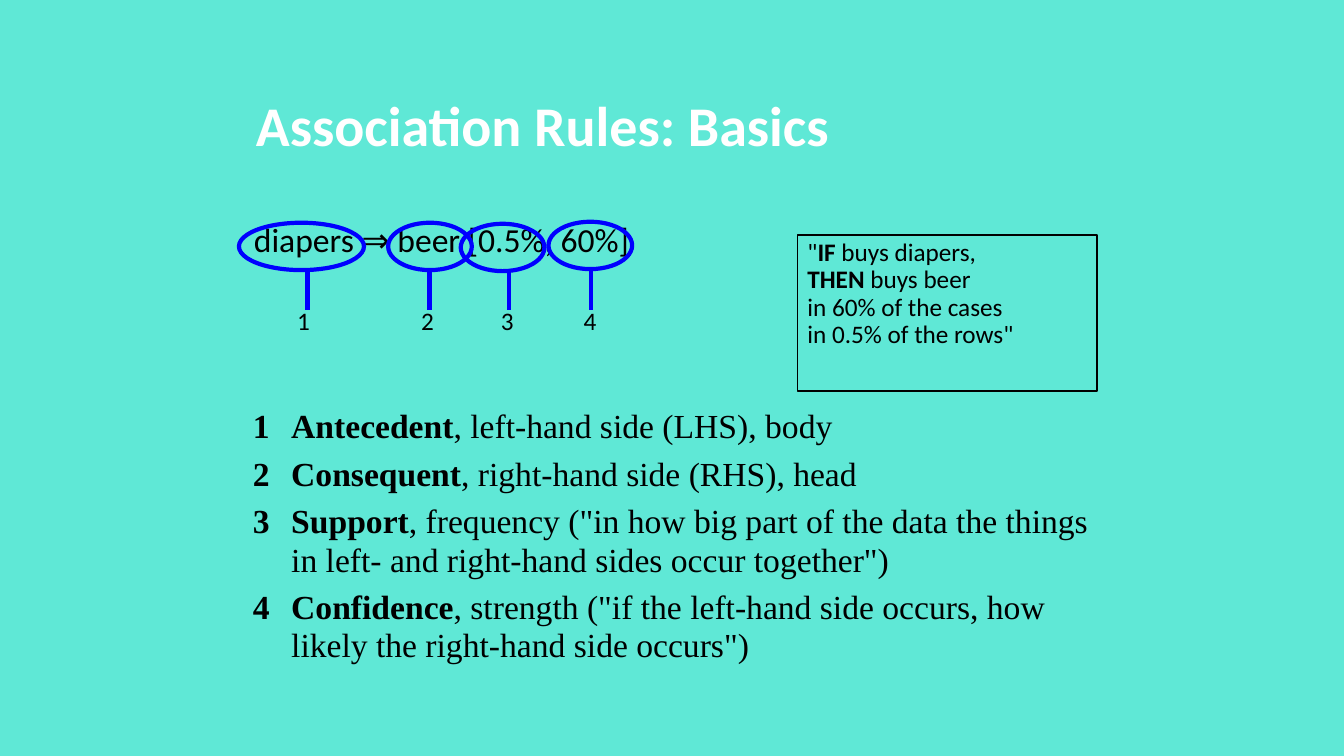
from lxml.etree import SubElement
from pptx import Presentation
from pptx.dml.color import RGBColor
from pptx.enum.shapes import MSO_CONNECTOR, MSO_SHAPE
from pptx.enum.text import MSO_ANCHOR, PP_ALIGN
from pptx.oxml.ns import qn
from pptx.util import Inches, Pt

HUES = {"back": "5FE8D6", "title": "FFFFFF", "text": "000000", "mark": "0000FF"}
HEAD = {"name": "Calibri", "size": Pt(40), "bold": True}
RULE = {"name": "Calibri", "size": Pt(24)}
NOTE = {"name": "Calibri", "size": Pt(18)}
TERM = {"name": "Times New Roman", "size": Pt(24)}

LINES = [
    [('"', False), ("IF", True), (" buys diapers,", False)],
    [("THEN", True), (" buys beer", False)],
    [("in 60% of the cases", False)],
    [('in 0.5% of the rows"', False)],
]
TERMS = [
    ("Antecedent", ", left-hand side (LHS), body"),
    ("Consequent", ", right-hand side (RHS), head"),
    ("Support", ', frequency ("in how big part of the data the things '
                'in left- and right-hand sides occur together")'),
    ("Confidence", ', strength ("if the left-hand side occurs, how '
                   'likely the right-hand side occurs")'),
]
MARKS = [
    ((2.37, 2.21, 1.24, 0.47), 3.05, 2.85),
    ((3.85, 2.21, 0.83, 0.47), 4.26, 4.08),
    ((4.57, 2.22, 0.83, 0.47), 5.05, 4.87),
    ((5.44, 2.2, 0.83, 0.47), 5.86, 5.69),
]


def tint(name):
    """Return the named colour."""
    return RGBColor.from_string(HUES[name])


def style(item, form):
    """Set each attribute of item from the format values."""
    for key, value in form.items():
        setattr(item, key, value)


def write(frame, rows, form, hue="text", space=0.9):
    """Fill a text frame with rows of (text, bold) runs."""
    frame.word_wrap = True
    for i, row in enumerate(rows):
        para = frame.paragraphs[0] if i == 0 else frame.add_paragraph()
        style(para, {"alignment": PP_ALIGN.LEFT, "line_spacing": space})
        for text, bold in row:
            run = para.add_run()
            run.text = text
            style(run.font, {"bold": bold, **form})
            run.font.color.rgb = tint(hue)


def label(shapes, box, rows, form, hue="text", space=0.9):
    """Add a text box and return its frame."""
    frame = shapes.add_textbox(*map(Inches, box)).text_frame
    write(frame, rows, form, hue, space)
    return frame


def title(shapes, box):
    """Add the slide title, centred in the height of its box."""
    frame = label(shapes, box, [[("Association Rules: Basics", True)]], HEAD, "title")
    frame.vertical_anchor = MSO_ANCHOR.MIDDLE


def rule(shapes, box):
    """Add the sample rule."""
    label(shapes, box, [[("diapers ⇒ beer [0.5%, 60%]", False)]], RULE)


def terms(shapes, box):
    """Add the numbered list of terms."""
    rows = [[(term, True), (text, False)] for term, text in TERMS]
    frame = label(shapes, box, rows, TERM, space=0.95)
    for i, para in enumerate(frame.paragraphs):
        if i:
            para.space_before = Pt(6.6)
        props = para._p.get_or_add_pPr()
        props.set("marL", str(Inches(0.38)))
        props.set("indent", str(Inches(-0.38)))
        SubElement(props, qn("a:buFont"), typeface="Arial")
        SubElement(props, qn("a:buAutoNum"), type="arabicPlain")


def outline(shapes, kind, box, hue, width):
    """Add an unfilled shape with a coloured line."""
    shape = shapes.add_shape(kind, *map(Inches, box))
    shape.shadow.inherit = False
    shape.fill.background()
    shape.line.color.rgb = tint(hue)
    shape.line.width = Pt(width)
    return shape


def note(shapes, box):
    """Add the framed reading of the rule."""
    frame = outline(shapes, MSO_SHAPE.RECTANGLE, box, "text", 1).text_frame
    frame.vertical_anchor = MSO_ANCHOR.TOP
    write(frame, LINES, NOTE)


def mark(shapes, box, stem, left, num):
    """Circle a part of the rule and tie it to its number."""
    parts = shapes.add_group_shape().shapes
    label(parts, (left, 2.98, 0.37, 0.5), [[(str(num), False)]], NOTE, space=1.0)
    outline(parts, MSO_SHAPE.OVAL, box, "mark", 3)
    ends = (stem, box[1] + box[3], stem, 3.08)
    line = parts.add_connector(MSO_CONNECTOR.STRAIGHT, *map(Inches, ends))
    line.line.color.rgb = tint("mark")
    line.line.width = Pt(3)
    SubElement(line._element.spPr, qn("a:effectLst"))


def main():
    """Build and save the slide."""
    deck = Presentation()
    style(deck, {"slide_width": Inches(13.33), "slide_height": Inches(7.5)})
    slide = deck.slides.add_slide(deck.slide_layouts[6])
    slide.background.fill.solid()
    slide.background.fill.fore_color.rgb = tint("back")
    shapes = slide.shapes
    title(shapes, (2.44, 0.86, 8.44, 0.83))
    rule(shapes, (2.42, 2.17, 4.09, 0.63))
    terms(shapes, (2.41, 4, 8.48, 2.74))
    note(shapes, (7.91, 2.33, 2.97, 1.55))
    for num, (box, stem, left) in enumerate(MARKS, 1):
        mark(shapes, box, stem, left, num)
    deck.save("out.pptx")


if __name__ == "__main__":
    main()
